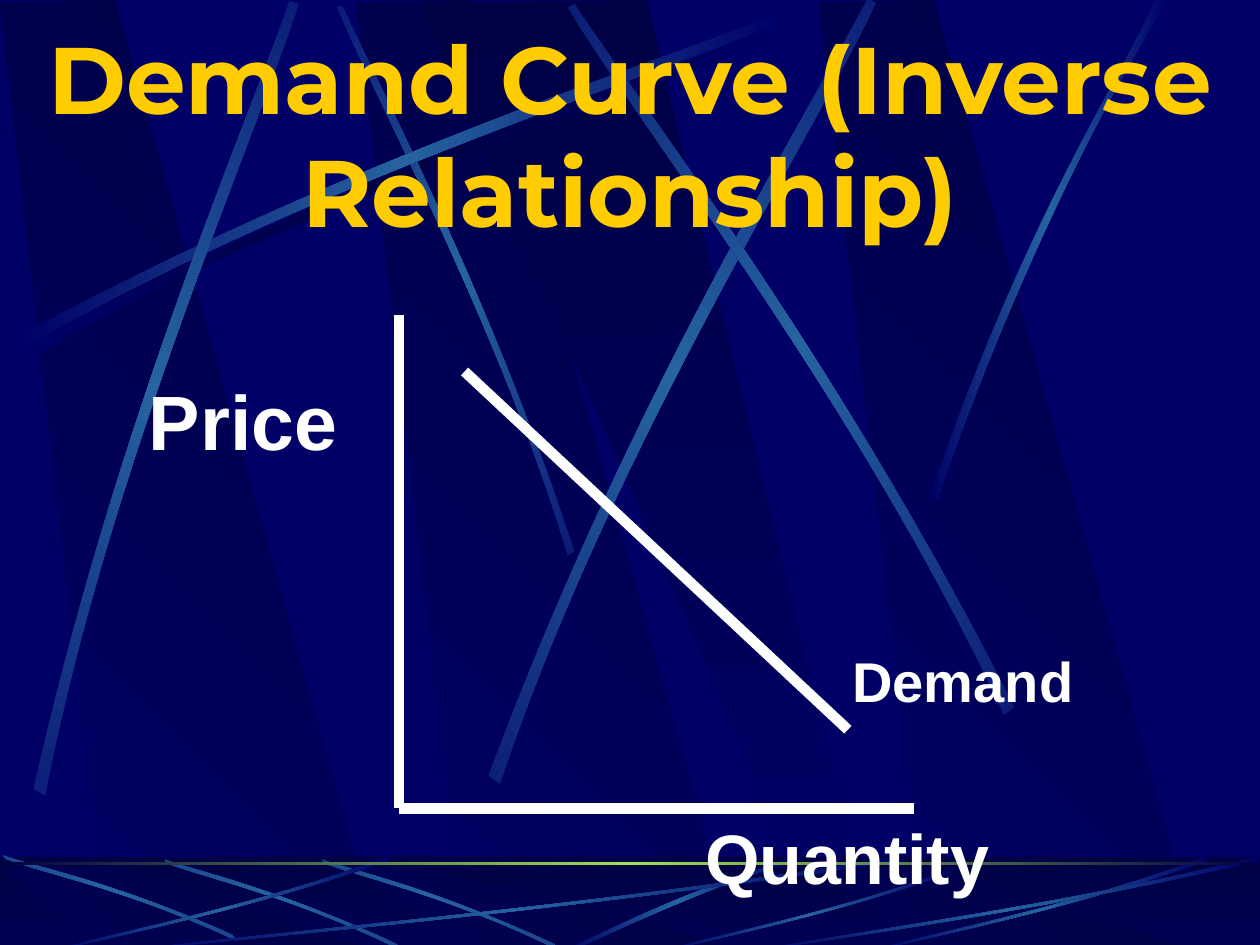
from copy import deepcopy
from math import cos, radians, sin

from lxml.etree import SubElement
from pptx import Presentation
from pptx.dml.color import RGBColor
from pptx.enum.shapes import MSO_CONNECTOR, MSO_SHAPE
from pptx.enum.text import MSO_ANCHOR, MSO_AUTO_SIZE, PP_ALIGN
from pptx.oxml.ns import qn
from pptx.util import Pt

COLORS = {
    "navy": "000066",
    "dark": "000044",
    "steel": "2663A0",
    "horizon": "9CE157",
    "gold": "FFCC00",
    "white": "FFFFFF",
}
GLOW = ("navy", "steel", "navy")
UNIT = 0.72  # the backdrop is laid out on a 1000 x 750 grid, in points per unit

# Each streak is two cubic edges: out along the first, back along the second
LONG_STREAK = [(14, 267), (278, 125), (518, 51), (620, 10),
               (623, 16), (522, 61), (248, 143), (17, 277)]
# (points, rotation, rotation centre)
WALL_STREAKS = [
    ([(456, 437), (390, 235), (305, 76), (272, 4),
      (268, 5), (298, 78), (397, 259), (451, 440)], 46, (362, 222.5)),
    (LONG_STREAK, 0, (0, 0)),
    ([(27, 626), (93, 334), (194, 104), (230, 1),
      (237, 3), (204, 108), (87, 368), (36, 631)], 311, (133, 315.5)),
    ([(388, 616), (498, 321), (636, 101), (689, -1),
      (695, 3), (647, 107), (486, 356), (397, 622)], 321, (543, 310.5)),
    ([(805, 561), (670, 293), (517, 95), (456, 3),
      (451, 6), (508, 101), (685, 325), (797, 567)], 35, (627, 285.5)),
    ([(738, 394), (814, 173), (888, 66), (917, 0),
      (927, 0), (836, 145), (769, 322), (744, 397)], 0, (0, 0)),
]
FLOOR_CURL = [(627, 682), (537, 709), (477, 742), (448, 754),
              (453, 755), (490, 738), (571, 700), (628, 685)]
FLOOR_FALL = [(440, 749), (345, 705), (285, 692), (256, 682),
              (258, 685), (290, 697), (357, 711), (444, 754)]
FLOOR_FALL_LEFT = [(184, 742), (90, 700), (31, 689), (2, 679),
                   (5, 682), (36, 694), (102, 706), (188, 747)]
# Rising floor streaks share one outline, stretched into left, top, width, height
FLOOR_RISE = [(1, 0.04), (0.57, 0.57), (0.17, 0.85), (0, 1),
              (0, 0.99), (0.17, 0.81), (0.62, 0.51), (0.99, 0)]
FLOOR_RISE_BOXES = [(100, 680, 617, 75), (42, 680, 267, 75), (527, 689, 231, 66),
                    (692, 680, 267, 75), (600, 680, 400, 75)]


def rgb(name):
    return RGBColor.from_string(COLORS[name])


def shift(points, dx, dy):
    return [(x + dx, y + dy) for x, y in points]


def paint_gradient(shape, names, angle=0):
    """Fill with evenly spaced colours; angle runs clockwise."""
    shape.shadow.inherit = False
    shape.line.fill.background()
    fill = shape.fill
    fill.gradient()
    fill.gradient_angle = (360 - angle) % 360
    stops = shape.fill._xPr.find(qn("a:gradFill")).find(qn("a:gsLst"))
    if len(names) == 3:
        stops.insert(1, deepcopy(stops[0]))
    for index, (stop, name) in enumerate(zip(fill.gradient_stops, names)):
        stop.position = index / (len(names) - 1)
        stop.color.rgb = rgb(name)


def add_outline(slide, points, names, angle=0):
    corners = [(Pt(x * UNIT), Pt(y * UNIT)) for x, y in points]
    builder = slide.shapes.build_freeform(*corners[0])
    builder.add_line_segments(corners[1:], close=True)
    outline = builder.convert_to_shape()
    paint_gradient(outline, names, angle)
    return outline


def bend_edges(outline):
    """Turn the first and last three segments into one cubic curve each."""
    segments = list(outline._element.iter(qn("a:lnTo")))[:7]
    for edge in (segments[:3], segments[4:]):
        curve = edge[0].makeelement(qn("a:cubicBezTo"))
        edge[0].addprevious(curve)
        for segment in edge:
            curve.append(segment[0])
            segment.getparent().remove(segment)


def add_streak(slide, points, rotation=0, center=(0, 0), names=GLOW):
    """Draw the streak level, then turn it so the glow follows its length."""
    cx, cy = center
    c, s = cos(radians(rotation)), sin(radians(rotation))
    level = [(cx + (x - cx) * c + (y - cy) * s, cy - (x - cx) * s + (y - cy) * c)
             for x, y in points]
    streak = add_outline(slide, level, names)
    bend_edges(streak)
    streak.rotation = rotation


def add_bar(slide, top, height, names, angle=0):
    bar = slide.shapes.add_shape(MSO_SHAPE.RECTANGLE, Pt(0), Pt(top), Pt(720), Pt(height))
    paint_gradient(bar, names, angle)
    return bar


def add_bands(slide, tops, bottoms):
    """Three slanted bands and a reversed one between the given edges."""
    (high, low), (near, far) = tops, bottoms
    for left in (283, 0, 650):
        band = [(86, near), (302, far), (91, high), (0, low)]
        add_outline(slide, shift(band, left, 0), ("navy", "dark"), 315)
    middle = [(333, low), (658, far), (694, far), (513, high)]
    add_outline(slide, middle, ("dark", "navy"), 90)


def add_backdrop(slide):
    # Wall
    add_bands(slide, (0, 2), (750, 752))
    add_streak(slide, shift(LONG_STREAK, 6, 8), names=("navy", "dark", "navy"))
    for points, rotation, center in WALL_STREAKS:
        add_streak(slide, points, rotation, center)

    # Floor
    add_bar(slide, 489.6, 54, ("dark", "navy"), 90)
    add_bands(slide, (688, 689), (754, 755))
    veil = add_bar(slide, 489.6, 54, ("dark", "dark"))
    veil.fill.solid()
    veil.fill.fore_color.rgb = rgb("dark")
    tint = veil.fill._xPr.find(qn("a:solidFill"))[0]
    SubElement(tint, qn("a:alpha")).set("val", "50000")
    add_streak(slide, FLOOR_CURL)
    for dx in (0, -125):
        add_streak(slide, shift(FLOOR_FALL, dx, 0), 315, (349.5 + dx, 718))
    add_streak(slide, FLOOR_FALL_LEFT, 315, (95.5, 713))
    for left, top, width, height in FLOOR_RISE_BOXES:
        rise = [(left + x * width, top + y * height) for x, y in FLOOR_RISE]
        add_streak(slide, rise, 180, (left + width / 2, top + height / 2))

    # Horizon
    add_bar(slide, 492.5, 1.6, ("dark", "horizon", "dark"))


def add_text(slide, text, left, top, width, height, size, font="Arial", color="white",
             align=PP_ALIGN.LEFT, anchor=MSO_ANCHOR.TOP):
    frame = slide.shapes.add_textbox(Pt(left), Pt(top), Pt(width), Pt(height)).text_frame
    frame.word_wrap = True
    frame.auto_size = MSO_AUTO_SIZE.SHAPE_TO_FIT_TEXT
    frame.vertical_anchor = anchor
    paragraph = frame.paragraphs[0]
    paragraph.alignment = align
    run = paragraph.add_run()
    run.text = text
    run.font.name = font
    run.font.size = Pt(size)
    run.font.bold = True
    run.font.color.rgb = rgb(color)


def add_graph_line(slide, start, end):
    graph_line = slide.shapes.add_connector(
        MSO_CONNECTOR.STRAIGHT, *(Pt(value) for value in start + end))
    graph_line.line.color.rgb = rgb("white")
    graph_line.line.width = Pt(6)
    SubElement(graph_line._element.spPr, qn("a:effectLst"))


def main():
    deck = Presentation()
    deck.slide_width, deck.slide_height = Pt(720), Pt(540)
    slide = deck.slides.add_slide(deck.slide_layouts[6])
    slide.background.fill.solid()
    slide.background.fill.fore_color.rgb = rgb("navy")
    add_backdrop(slide)

    # Title
    add_text(slide, "Demand Curve (Inverse Relationship)", 0, 0, 720, 152, 54,
             font="Montserrat", color="gold", align=PP_ALIGN.CENTER,
             anchor=MSO_ANCHOR.MIDDLE)

    # Axes and demand curve
    origin = (228, 462)
    add_graph_line(slide, (228, 180), origin)
    add_graph_line(slide, origin, (522, 462))
    add_graph_line(slide, (265.5, 212.3), (484.5, 417))

    # Labels
    add_text(slide, "Demand", 480, 366, 144, 45.6, 32)
    add_text(slide, "Price", 78, 210, 144, 60, 44)
    add_text(slide, "Quantity", 396, 462, 186, 55.6, 40)

    deck.save("out.pptx")


if __name__ == "__main__":
    main()
